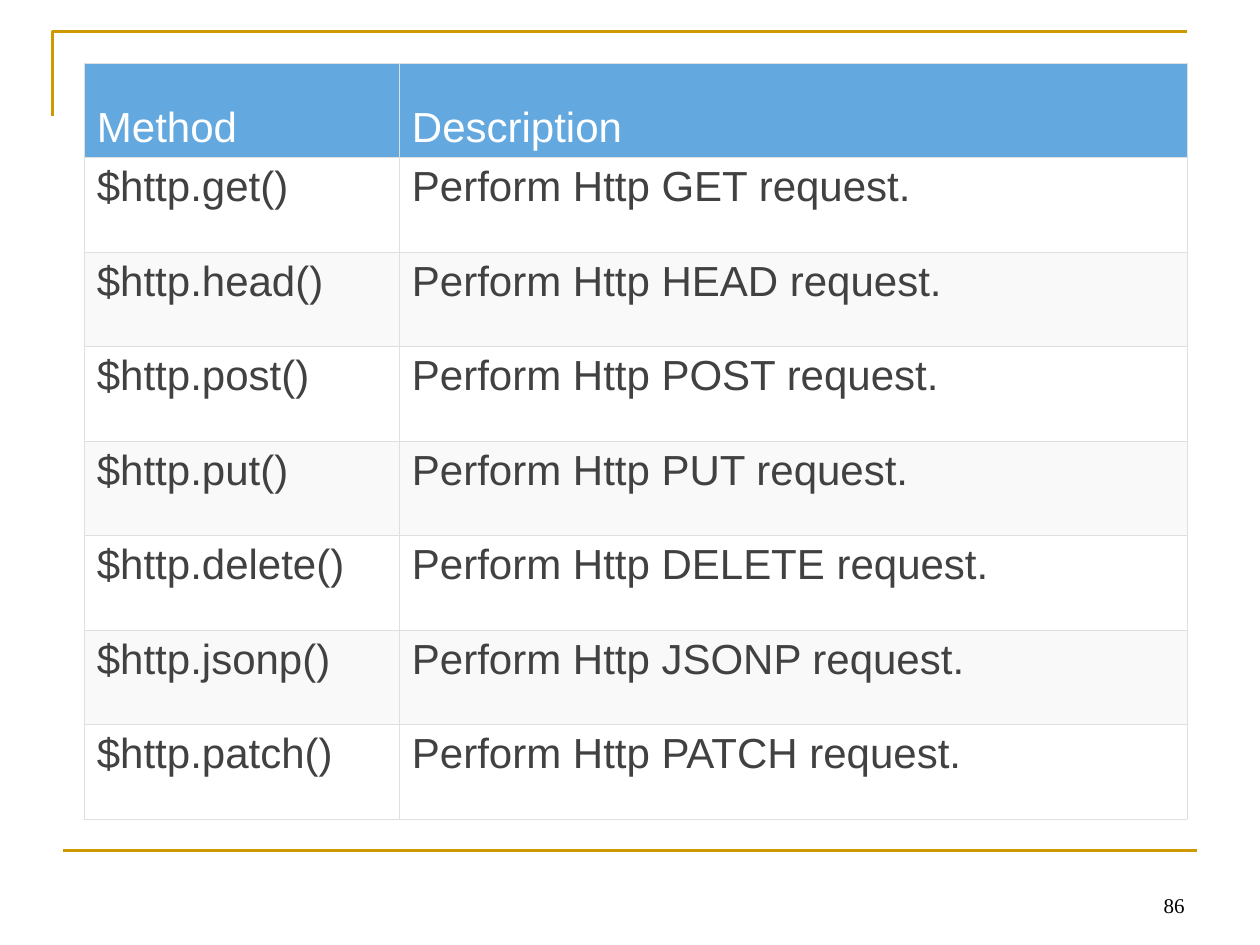
from dataclasses import dataclass

from lxml import etree
from pptx import Presentation
from pptx.dml.color import RGBColor
from pptx.enum.shapes import MSO_CONNECTOR
from pptx.enum.text import MSO_ANCHOR, PP_ALIGN
from pptx.oxml.ns import qn
from pptx.util import Cm, Pt

STRAIGHT = MSO_CONNECTOR.STRAIGHT
TOP, BOTTOM = MSO_ANCHOR.TOP, MSO_ANCHOR.BOTTOM
LEFT, RIGHT = PP_ALIGN.LEFT, PP_ALIGN.RIGHT


@dataclass(frozen=True)
class Theme:
    accent: str = "CC9900"
    header: str = "63A9E0"
    header_text: str = "FFFFFF"
    body_text: str = "414141"
    bands: tuple = ("F9F9F9", "FFFFFF")
    border: str = "DFDFDF"
    number: str = "000000"
    table_font: str = "Arial"
    number_font: str = "Times New Roman"
    table_size: float = 24
    number_size: float = 12
    rule_width: float = 1.5
    border_width: float = 0.34


theme = Theme()


def write(frame, text, *, size, font, color, align=LEFT):
    paragraph = frame.paragraphs[0]
    paragraph.alignment = align
    run = paragraph.add_run()
    run.text = text
    run.font.size = Pt(size)
    run.font.name = font
    run.font.bold = False
    run.font.color.rgb = RGBColor.from_string(color)


def add_borders(cell, color, width):
    properties = cell._tc.get_or_add_tcPr()
    for position, side in enumerate(("a:lnL", "a:lnR", "a:lnT", "a:lnB")):
        border = etree.Element(qn(side), w=str(int(Pt(width))))
        fill = etree.SubElement(border, qn("a:solidFill"))
        etree.SubElement(fill, qn("a:srgbClr"), val=color)
        properties.insert(position, border)


prs = Presentation()
prs.slide_width, prs.slide_height = Cm(25.4), Cm(19.05)
slide = prs.slides.add_slide(prs.slide_layouts[6])
shapes = slide.shapes

corner_path = shapes.build_freeform(Cm(1.06), Cm(2.33))
corner_path.add_line_segments(
    [(Cm(1.06), Cm(0.64)), (Cm(23.92), Cm(0.64))], close=False
)
corner = corner_path.convert_to_shape()
corner.shadow.inherit = False
corner.fill.background()

footer_rule = shapes.add_connector(
    STRAIGHT, Cm(1.27), Cm(17.15), Cm(24.13), Cm(17.15)
)
for rule in (corner, footer_rule):
    rule.line.color.rgb = RGBColor.from_string(theme.accent)
    rule.line.width = Pt(theme.rule_width)
etree.SubElement(footer_rule._element.spPr, qn("a:effectLst"))

methods = ["get", "head", "post", "put", "delete", "jsonp", "patch"]
rows = [("Method", "Description")] + [
    (f"$http.{method}()", f"Perform Http {method.upper()} request.")
    for method in methods
]

method_table = shapes.add_table(
    len(rows), 2, Cm(1.7), Cm(1.27), Cm(22.23), Cm(15.24)
).table
method_table.first_row = False
method_table.horz_banding = False
for column, width in zip(method_table.columns, (6.35, 15.88)):
    column.width = Cm(width)

for row_index, row in enumerate(rows):
    is_header = row_index == 0
    background = theme.header if is_header else theme.bands[row_index % 2]
    for column_index, text in enumerate(row):
        cell = method_table.cell(row_index, column_index)
        cell.vertical_anchor = BOTTOM if is_header else TOP
        cell.fill.solid()
        cell.fill.fore_color.rgb = RGBColor.from_string(background)
        add_borders(cell, theme.border, theme.border_width)
        write(
            cell.text_frame,
            text,
            size=theme.table_size,
            font=theme.table_font,
            color=theme.header_text if is_header else theme.body_text,
        )

page_number = shapes.add_textbox(Cm(18.2), Cm(17.36), Cm(5.93), Cm(1.27)).text_frame
page_number.word_wrap = True
page_number.vertical_anchor = BOTTOM
write(
    page_number,
    "86",
    size=theme.number_size,
    font=theme.number_font,
    color=theme.number,
    align=RIGHT,
)

prs.save("out.pptx")
